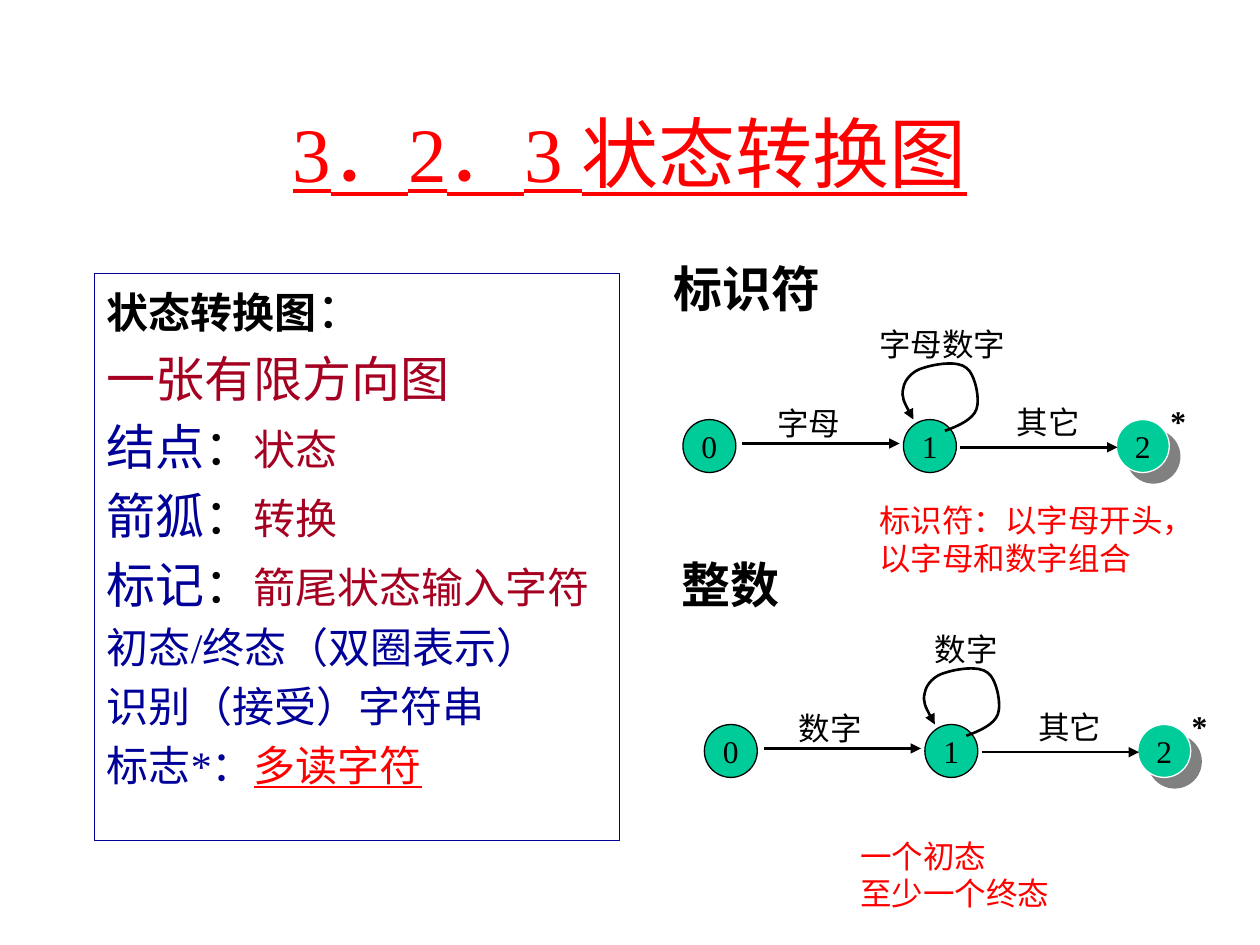
"""Builds a slide on state transition diagrams with two example automata."""
from lxml import etree
from pptx import Presentation
from pptx.dml.color import RGBColor
from pptx.enum.shapes import MSO_CONNECTOR as CONN, MSO_SHAPE as SHAPE
from pptx.enum.text import MSO_ANCHOR as ANCHOR, PP_ALIGN as ALIGN
from pptx.oxml import parse_xml
from pptx.oxml.ns import nsdecls, qn
from pptx.util import Inches, Pt

BLACK = RGBColor(0x00, 0x00, 0x00)
WHITE = RGBColor(0xFF, 0xFF, 0xFF)
RED = RGBColor(0xFF, 0x00, 0x00)
NAVY = RGBColor(0x00, 0x00, 0x99)
CRIMSON = RGBColor(0xA5, 0x00, 0x21)
GREEN = RGBColor(0x00, 0xCC, 0x99)
FONT = "Times New Roman"
SHADOW = (
    f'<a:effectLst {nsdecls("a")}><a:outerShdw dist="107950" dir="2700000" algn="ctr" rotWithShape="0">'
    '<a:srgbClr val="808080"/></a:outerShdw></a:effectLst>'
)

prs = Presentation()
prs.slide_width, prs.slide_height = Inches(10), Inches(7.5)
s = prs.slides.add_slide(prs.slide_layouts[6])


def add_text(x, y, w, h, lines, size=18, color=BLACK, bold=False, wrap=True):
    sp = s.shapes.add_textbox(Inches(x), Inches(y), Inches(w), Inches(h))
    tf = sp.text_frame
    tf.word_wrap = wrap
    tf.text = lines
    for p in tf.paragraphs:
        p.font.name, p.font.size, p.font.bold = FONT, Pt(size), bold
        p.font.color.rgb = color
    return sp


def style_arrow(sp):
    sp.line.color.rgb, sp.line.width = BLACK, Pt(1.5)
    ln = sp.line._get_or_add_ln()
    etree.SubElement(ln, qn("a:tailEnd"), type="triangle")
    etree.SubElement(sp._element.spPr, qn("a:effectLst"))


title = add_text(0.75, 0.58, 8.5, 1.25, "3．2．3 状态转换图", 44, RED)
title.text_frame.vertical_anchor = ANCHOR.MIDDLE
p = title.text_frame.paragraphs[0]
p.alignment = ALIGN.CENTER
p.font.underline = True

body = [
    (28, [("状态转换图", 24, BLACK), ("：", 28, BLACK)]),
    (28, [("一张有限方向图", 28, CRIMSON)]),
    (28, [("结点", 28, NAVY), ("：", 28, BLACK), ("状态", 24, CRIMSON)]),
    (28, [("箭狐", 28, NAVY), ("：", 28, BLACK), ("转换", 24, CRIMSON)]),
    (28, [("标记", 28, NAVY), ("：", 28, BLACK), ("箭尾状态输入字符", 24, CRIMSON)]),
    (24, [("初态/终态（双圈表示）", 24, NAVY)]),
    (24, [("识别（接受）字符串", 24, NAVY)]),
    (24, [("标志*：", 24, NAVY), ("多读字符", 24, RED)]),
]
sp = s.shapes.add_textbox(Inches(0.75), Inches(2.17), Inches(4.17), Inches(4.5))
sp.line.color.rgb, sp.line.width = NAVY, Pt(0.75)
tf = sp.text_frame
tf.word_wrap = True
for i, (line_size, runs) in enumerate(body):
    p = tf.add_paragraph() if i else tf.paragraphs[0]
    p.font.name = FONT
    if i:
        p.space_before = Pt(line_size * 0.2)
    for text, size, color in runs:
        r = p.add_run()
        r.text = text
        r.font.size, r.font.color.rgb = Pt(size), color
tf.paragraphs[0].runs[0].font.bold = True
tf.paragraphs[-1].runs[-1].font.underline = True

LOOP = [
    (7.5, 3.42), (7.61, 3.38), (7.72, 3.33), (7.75, 3.25),
    (7.78, 3.17), (7.74, 2.97), (7.67, 2.92), (7.6, 2.86),
    (7.42, 2.89), (7.33, 2.92), (7.25, 2.94), (7.18, 3.01),
    (7.17, 3.08), (7.15, 3.15), (7.2, 3.24), (7.25, 3.33),
]
automata = [
    (0, 0, "字母", "字母数字", 6.88, 1.5),
    (0.17, 2.42, "数字", "数字", 7.32, 0.79),
]
for dx, dy, first, loop, loop_x, loop_w in automata:
    for number, x in enumerate((5.42, 7.17, 8.86)):
        sp = s.shapes.add_shape(SHAPE.OVAL, Inches(x + dx), Inches(3.33 + dy), Inches(0.42), Inches(0.42))
        final = number == 2
        sp.fill.solid()
        sp.fill.fore_color.rgb = GREEN
        sp.line.color.rgb, sp.line.width = WHITE if final else BLACK, Pt(0.75)
        if final:
            sp._element.spPr.append(parse_xml(SHADOW))
        else:
            sp.shadow.inherit = False
        tf = sp.text_frame
        tf.word_wrap = False
        tf.vertical_anchor = ANCHOR.MIDDLE
        p = tf.paragraphs[0]
        p.alignment = ALIGN.CENTER
        p.font.name, p.font.size, p.font.color.rgb = FONT, Pt(18), BLACK
        p.add_run().text = str(number)

    for x, y in ((5.89, 3.52), (7.62, 3.55)):
        y = Inches(y + dy)
        style_arrow(s.shapes.add_connector(CONN.STRAIGHT, Inches(x + dx), y, Inches(x + dx + 1.25), y))

    points = [(Inches(x + dx), Inches(y + dy)) for x, y in LOOP]
    fb = s.shapes.build_freeform(*points[0])
    fb.add_line_segments(points[1:], close=False)
    sp = fb.convert_to_shape()
    sp.fill.background()
    segments = list(sp._element.iter(qn("a:lnTo")))
    outline = segments[0].getparent()
    for i in range(0, len(segments), 3):
        curve = etree.SubElement(outline, qn("a:cubicBezTo"))
        for seg in segments[i:i + 3]:
            curve.append(seg[0])
            outline.remove(seg)
    style_arrow(sp)

    add_text(6.07 + dx, 3.16 + dy, 0.83, 0.4, first)
    add_text(7.97 + dx, 3.15 + dy, 0.77, 0.4, "其它")
    add_text(loop_x, 2.53 + dy, loop_w, 0.4, loop)
    add_text(9.19 + dx, 3.14 + dy, 0.33, 0.4, "*", bold=True)

add_text(5.25, 2, 1.5, 0.57, "标识符", 28, bold=True)
add_text(5.31, 4.35, 1.17, 0.57, "整数", 28, bold=True)
add_text(6.88, 3.93, 2.73, 0.71, "标识符：以字母开头，\n以字母和数字组合", color=RED, wrap=False)
add_text(6.73, 6.59, 1.95, 0.71, "一个初态\n至少一个终态", color=RED)

prs.save("out.pptx")
